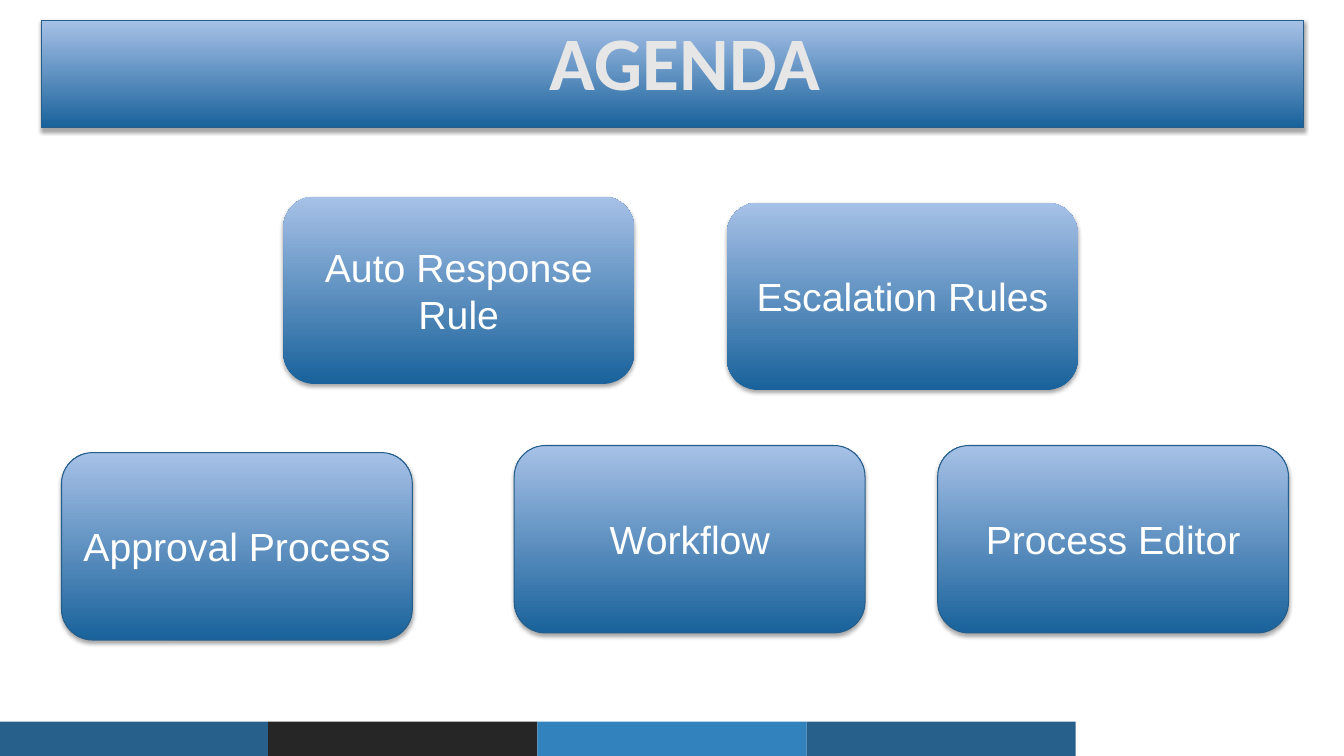
import pptx
import pptx.dml.color
import pptx.enum.shapes
import pptx.enum.text
import pptx.oxml
import pptx.oxml.ns
import pptx.util

Inches = pptx.util.Inches
Pt = pptx.util.Pt
RGBColor = pptx.dml.color.RGBColor
MSO_SHAPE = pptx.enum.shapes.MSO_SHAPE
ANCHOR = pptx.enum.text.MSO_ANCHOR
NS = pptx.oxml.ns.nsdecls("a")

DEEP_BLUE = RGBColor(0x19, 0x62, 0x9B)
PALE_BLUE = RGBColor(0xA7, 0xC1, 0xE7)
EDGE_BLUE = RGBColor(0x25, 0x5E, 0x8B)
STEEL = RGBColor(0x28, 0x60, 0x8C)
CHARCOAL = RGBColor(0x26, 0x26, 0x26)
SKY = RGBColor(0x32, 0x82, 0xBE)
SILVER = RGBColor(0xE7, 0xE6, 0xE6)
WHITE = RGBColor(0xFF, 0xFF, 0xFF)

TITLE = "AGENDA"
TITLE_BOX = (0.41, 0.2, 12.52, 1.07)
TITLE_FONT = {"name": "Calibri", "size": Pt(54), "bold": True}
TOPIC_FONT = {"name": "Arial", "size": Pt(28), "bold": False}
TOPIC_SIZE = (3.48, 1.86)
TOPICS = [
    ("Escalation Rules", 7.21, 2.01, None),
    ("Approval Process", 0.61, 4.49, EDGE_BLUE),
    ("Process Editor", 9.3, 4.42, EDGE_BLUE),
    ("Workflow", 5.1, 4.42, EDGE_BLUE),
    ("Auto Response Rule", 2.81, 1.95, None),
]
FOOTER_COLORS = [STEEL, CHARCOAL, SKY, STEEL]
FOOTER_LEFT, FOOTER_TOP, FOOTER_WIDTH, FOOTER_HEIGHT = -0.01, 7.16, 2.67, 0.37

SHADOW = (
    f'<a:outerShdw {NS} blurRad="{Pt(3.1)}" dist="{Pt(1.8)}" dir="5400000" rotWithShape="0">'
    '<a:srgbClr val="000000"><a:alpha val="35000"/></a:srgbClr></a:outerShdw>'
)
TITLE_OUTLINE = (
    f'<a:ln {NS} w="{Pt(1.75)}"><a:solidFill><a:srgbClr val="{STEEL}"/></a:solidFill></a:ln>'
)


def add_block(slide, kind, box, edge=None):
    block = slide.shapes.add_shape(kind, *map(Inches, box))
    block.shadow.inherit = False
    if edge is None:
        block.line.fill.background()
    else:
        block.line.color.rgb = edge
        block.line.width = Pt(0.75)
    return block


def add_glossy_block(slide, kind, box, edge, text, font_values, color, anchor):
    block = add_block(slide, kind, box, edge)
    block.fill.gradient()
    block.fill.gradient_angle = 90
    for stop, position, shade in zip(block.fill.gradient_stops, (0, 1), (DEEP_BLUE, PALE_BLUE)):
        stop.position = position
        stop.color.rgb = shade
    effects = block._element.spPr.find(pptx.oxml.ns.qn("a:effectLst"))
    effects.append(pptx.oxml.parse_xml(SHADOW))

    frame = block.text_frame
    frame.word_wrap = True
    frame.vertical_anchor = anchor
    paragraph = frame.paragraphs[0]
    paragraph.alignment = pptx.enum.text.PP_ALIGN.CENTER
    run = paragraph.add_run()
    run.text = text
    for attribute, value in font_values.items():
        setattr(run.font, attribute, value)
    run.font.color.rgb = color
    return paragraph


def main():
    deck = pptx.Presentation()
    deck.slide_width, deck.slide_height = Inches(13.33), Inches(7.5)
    slide = deck.slides.add_slide(deck.slide_layouts[6])

    for index, color in enumerate(FOOTER_COLORS):
        left = FOOTER_LEFT + index * FOOTER_WIDTH
        band = add_block(
            slide, MSO_SHAPE.RECTANGLE, (left, FOOTER_TOP, FOOTER_WIDTH, FOOTER_HEIGHT)
        )
        band.fill.solid()
        band.fill.fore_color.rgb = color

    heading = add_glossy_block(
        slide, MSO_SHAPE.RECTANGLE, TITLE_BOX, EDGE_BLUE, TITLE, TITLE_FONT, SILVER, ANCHOR.TOP
    )
    heading.line_spacing = 0.9
    indents = heading._p.get_or_add_pPr()
    indents.set("marL", str(Inches(0.5)))
    indents.set("indent", str(Inches(-0.25)))
    heading.runs[0]._r.get_or_add_rPr().insert(0, pptx.oxml.parse_xml(TITLE_OUTLINE))

    for topic, left, top, edge in TOPICS:
        add_glossy_block(
            slide, MSO_SHAPE.ROUNDED_RECTANGLE, (left, top, *TOPIC_SIZE), edge,
            topic, TOPIC_FONT, WHITE, ANCHOR.MIDDLE,
        )

    deck.save("out.pptx")


if __name__ == "__main__":
    main()
